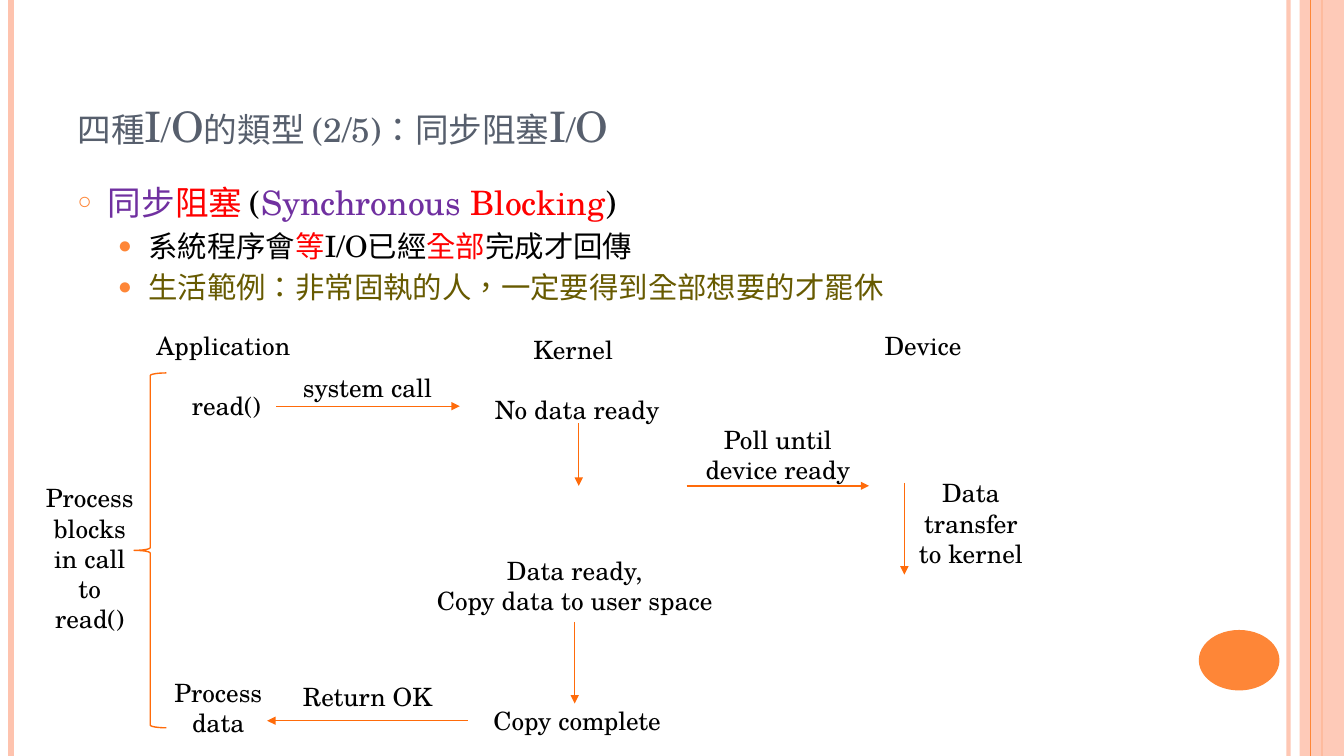
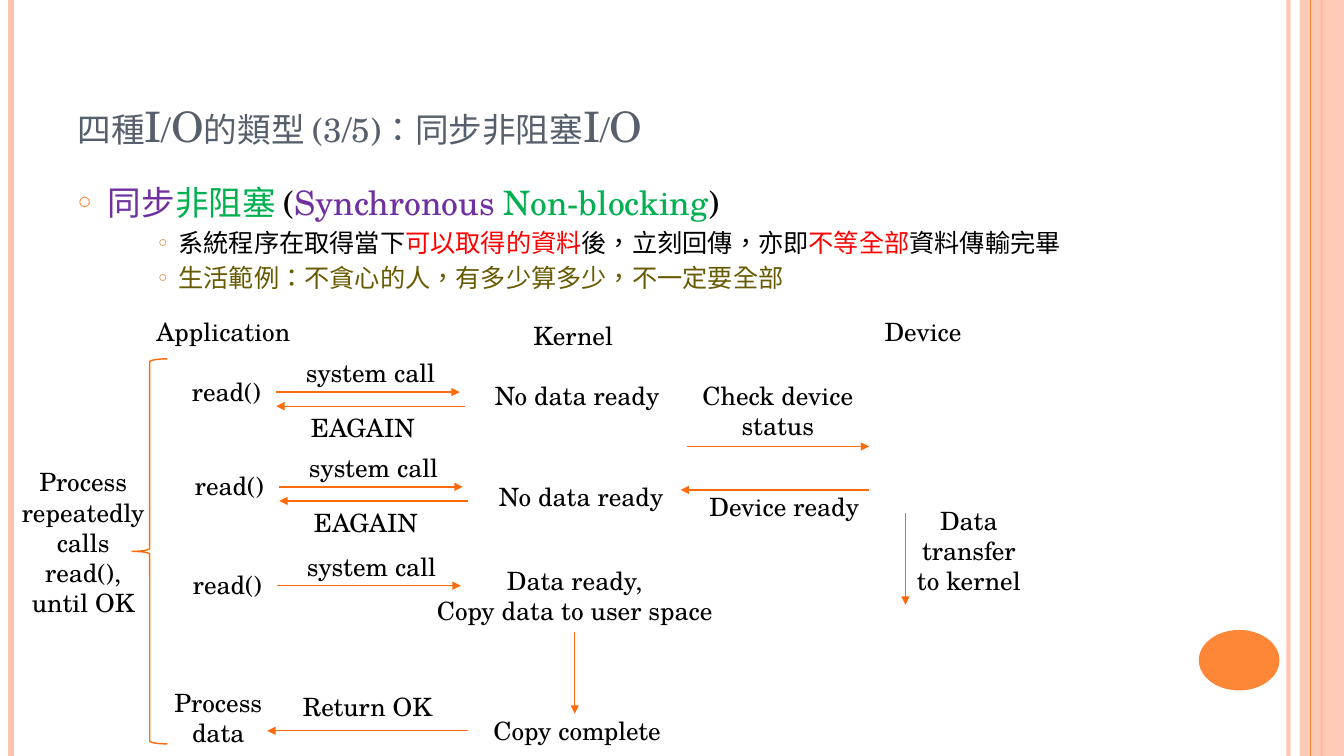
from dataclasses import dataclass

from lxml.etree import SubElement as sub
from pptx import Presentation
from pptx.dml.color import RGBColor as RGB
from pptx.enum.shapes import MSO_CONNECTOR as CONN, MSO_SHAPE as SHAPE
from pptx.enum.text import MSO_ANCHOR as ANCHOR, MSO_AUTO_SIZE as FIT, PP_ALIGN as ALIGN
from pptx.oxml.ns import qn
from pptx.util import Emu, Pt

SCALE = 9144
WIDE, HIGH = 1333, 750


@dataclass(frozen=True)
class Theme:
    """Colours, font and type sizes of the deck."""
    font: str = "TeX Gyre Schola"
    title: str = "575F6D"
    ink: str = "000000"
    violet: str = "7030A0"
    red: str = "FF0000"
    green: str = "00B050"
    olive: str = "675A00"
    pale: str = "FEC3AE"
    orange: str = "FE8637"
    rust: str = "E07631"
    arrow: str = "FF6B0A"
    head: int = 30
    sizes: tuple = (24, 21, 18)
    label: int = 18


T = Theme()
BULLETS = (
    ("○", T.orange, 70, 30, 30),
    ("●", T.orange, 80, 70, 30),
    ("○", T.rust, 60, 100, 20),
)


def px(*vals):
    """Turn pixel lengths into EMU."""
    return [Emu(round(v * SCALE)) for v in vals]


def write(para, text, size, tone):
    """Add one formatted run."""
    run = para.add_run()
    run.text = text
    run.font.name, run.font.size = T.font, Pt(size)
    run.font.color.rgb = RGB.from_string(tone)
    run.font._element.set("lang", "zh-TW")
    return run


def stroke(part, tone, width):
    """Colour the line of a part and drop its shadow."""
    part.line.color.rgb = RGB.from_string(tone)
    part.line.width = Pt(width)
    props = part._element.spPr
    if props.find(qn("a:effectLst")) is None:
        sub(props, qn("a:effectLst"))


def fade(part, share):
    """Set the opacity of a part in percent."""
    for tone in part._element.iter(qn("a:srgbClr")):
        sub(tone, qn("a:alpha"), val=str(share * 1000))


def rule(page, start, end, tone, width):
    """Draw a straight line."""
    line = page.shapes.add_connector(CONN.STRAIGHT, *px(*start, *end))
    stroke(line, tone, width)
    return line


def link(page, start, end, join=None):
    """Draw an arrow, joined at its start if a shape and side are given."""
    line = rule(page, start, end, T.arrow, 1)
    sub(line.line._get_or_add_ln(), qn("a:tailEnd"), type="triangle")
    if join:
        line.begin_connect(*join)


def put(page, text, x, y, w=217, h=40):
    """Place a centred label."""
    box = page.shapes.add_textbox(*px(x, y, w, h))
    frame = box.text_frame
    frame.word_wrap = True
    frame.auto_size = FIT.SHAPE_TO_FIT_TEXT
    for i, row in enumerate(text.split("\n")):
        para = frame.add_paragraph() if i else frame.paragraphs[0]
        para.alignment = ALIGN.CENTER
        write(para, row, T.label, T.ink)
    return box


def solid(page, kind, box, tone):
    """Draw a filled shape without outline."""
    part = page.shapes.add_shape(kind, *px(*box))
    part.shadow.inherit = False
    part.fill.solid()
    part.fill.fore_color.rgb = RGB.from_string(tone)
    part.line.fill.background()
    return part


def frame(layout, page):
    """Set the layout's placeholders and move the side bands into it."""
    spots = {0: (67, 30, 1089, 125), 1: (67, 175, 1089, 563)}
    for hold in list(layout.placeholders):
        spot = spots.get(hold.placeholder_format.idx)
        if spot:
            hold.left, hold.top, hold.width, hold.height = px(*spot)
        else:
            hold._element.getparent().remove(hold._element)

    def band(x, tone, width):
        """Draw a line down the full height."""
        return rule(page, (x, 0), (x, HIGH), tone, width)

    edge = band(1278, T.pale, 3)
    fade(edge, 93)
    left, right = band(11, T.pale, 4.5), band(1311, T.orange, 1.5)
    strip = solid(page, SHAPE.RECTANGLE, (1289, 0, 44, HIGH), T.pale)
    fade(strip, 87)
    thin = band(1300, T.orange, 0.75)
    disc = solid(page, SHAPE.OVAL, (1189, 625, 80, 60), T.orange)
    for part in (edge, left, right, strip, thin, disc):
        layout.shapes._spTree.append(part._element)


def head(page, text):
    """Fill the title."""
    hold = page.shapes.title.text_frame
    hold.vertical_anchor = ANCHOR.BOTTOM
    para = hold.paragraphs[0]
    para.alignment = ALIGN.LEFT
    write(para, text, T.head, T.title).font._element.set("cap", "small")


def body(page, rows):
    """Fill the bullet list from rows of a level and its runs."""
    hold = page.placeholders[1].text_frame
    for i, (level, runs) in enumerate(rows):
        para = hold.add_paragraph() if i else hold.paragraphs[0]
        para.level = level
        if not level:
            para.space_before = Pt(6)
        mark, tone, share, left, hang = BULLETS[level]
        props = para._p.get_or_add_pPr()
        props.set("marL", str(left * SCALE))
        props.set("indent", str(-hang * SCALE))
        sub(sub(props, qn("a:buClr")), qn("a:srgbClr"), val=tone)
        sub(props, qn("a:buSzPct"), val=str(share * 1000))
        sub(props, qn("a:buChar"), char=mark)
        for text, ink in runs:
            write(para, text, T.sizes[level], ink)


def lanes(page, box):
    """Name the three columns."""
    x, y, w, h = box
    for i, name in enumerate(("Application", "Kernel", "Device")):
        put(page, name, x + i * (w - 217) // 2, y + i % 2 * (h - 40))


def call(page, box, again=False, shift=110):
    """Draw one read() call and, if asked, its EAGAIN reply."""
    x, y, w, h = box
    put(page, "read()", x, y, 151)
    link(page, (x + 125, y + 21), (x + w - 5, y + 21))
    put(page, "system call", x + shift, y - 18)
    if again:
        link(page, (x + w, y + 35), (x + 125, y + 35))
        put(page, "EAGAIN", x + 121, y + h - 40, 180)


def finish(page, box):
    """Draw the copy to user space and the final return."""
    x, y, w, h = box
    data = put(page, "Data ready,\nCopy data to user space", x + w - 328, y, 328, 71)
    done = put(page, "Copy complete", x + 323, y + h - 43)
    link(page, (x + w - 164, y + 71), (x + w - 164, y + h - 40), (data, 2))
    link(page, (x + 323, y + h - 23), (x + 124, y + h - 23), (done, 1))
    put(page, "Return OK", x + 115, y + h - 67)
    put(page, "Process data", x, y + h - 71, 151, 71)


def span(page, box, text, spot):
    """Draw the brace and the note on its left."""
    brace = page.shapes.add_shape(SHAPE.LEFT_BRACE, *px(*box))
    brace.shadow.inherit = False
    brace.fill.background()
    stroke(brace, T.arrow, 1)
    put(page, text, *spot)


def move(page, box, gap):
    """Draw the transfer arrow and its label."""
    x, y, w, h = box
    link(page, (x, y), (x, y + h))
    put(page, "Data transfer to kernel", x + gap, y - 10 - (3 - gap), w, 101)


def block(page):
    """Build the slide on synchronous blocking I/O."""
    head(page, "四種I/O的類型 (2/5)：同步阻塞I/O")
    body(page, (
        (0, (("同步", T.violet), ("阻塞", T.red), (" (", T.ink),
             ("Synchronous ", T.violet), ("Blocking", T.red), (")", T.ink))),
        (1, (("系統程序會", T.ink), ("等", T.red), ("I/O已經", T.ink),
             ("全部", T.red), ("完成才回傳", T.ink))),
        (1, (("生活範例：非常固執的人，一定要得到全部想要的才罷休", T.olive),)),
    ))
    lanes(page, (113, 323, 911, 44))
    call(page, (149, 382, 312, 40), shift=107)
    put(page, "No data ready", 464, 386)
    link(page, (574, 420), (574, 482))
    link(page, (681, 482), (862, 482))
    put(page, "Poll until device ready", 681, 416, 181, 71)
    move(page, (897, 479, 126, 91), 3)
    finish(page, (141, 546, 593, 192))
    span(page, (133, 370, 32, 352), "Process blocks in call to read()", (33, 474, 112, 131))


def poll(page):
    """Build the slide on synchronous non-blocking I/O."""
    head(page, "四種I/O的類型 (3/5)：同步非阻塞I/O")
    body(page, (
        (0, (("同步", T.violet), ("非阻塞 ", T.green), ("(", T.ink),
             ("Synchronous ", T.violet), ("Non-blocking", T.green), (")", T.ink))),
        (2, (("系統程序在取得當下", T.ink), ("可以取得的資料", T.red),
             ("後，立刻回傳，亦即", T.ink), ("不等全部", T.red),
             ("資料傳輸完畢", T.ink))),
        (2, (("生活範例：不貪心的人，有多少算多少，不一定要全部", T.olive),)),
    ))
    lanes(page, (113, 309, 911, 44))
    for x, y, again in ((149, 368, True), (152, 462, True), (150, 560, False)):
        call(page, (x, y, 312, 76), again)
    put(page, "No data ready", 464, 372)
    put(page, "No data ready", 468, 473)
    link(page, (681, 443), (862, 443))
    put(page, "Check device status", 681, 372, 181, 71)
    link(page, (862, 486), (675, 486))
    put(page, "Device ready", 688, 483, 180)
    move(page, (898, 509, 126, 91), 0)
    finish(page, (141, 556, 593, 192))
    span(page, (131, 356, 35, 382), "Process repeatedly calls read(), until OK",
         (11, 458, 143, 162))


def main():
    """Build and save the deck."""
    deck = Presentation()
    deck.slide_width, deck.slide_height = px(WIDE, HIGH)
    layout = deck.slide_layouts[1]
    pages = [deck.slides.add_slide(layout) for _ in range(2)]
    frame(layout, pages[0])
    block(pages[0])
    poll(pages[1])
    deck.save("out.pptx")


if __name__ == "__main__":
    main()
